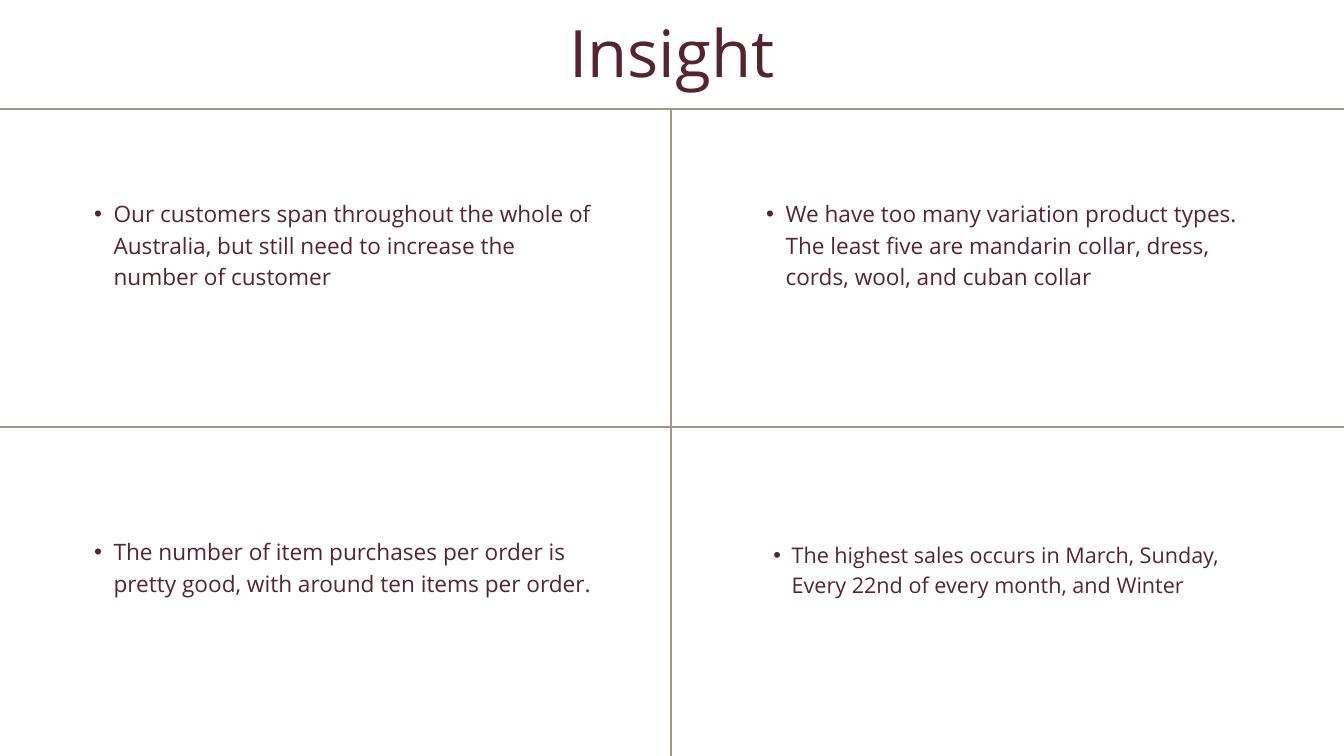
"""Build the Insight slide: a title above four findings in a ruled grid."""
from lxml import etree
from pptx import Presentation
from pptx.dml.color import RGBColor
from pptx.enum.shapes import MSO_CONNECTOR
from pptx.enum.text import MSO_ANCHOR, MSO_AUTO_SIZE, PP_ALIGN
from pptx.oxml.ns import qn
from pptx.util import Inches, Pt

STRAIGHT = MSO_CONNECTOR.STRAIGHT
TOP = MSO_ANCHOR.TOP
NO_FIT = MSO_AUTO_SIZE.NONE
CENTER = PP_ALIGN.CENTER
WINE, TAUPE = "56242F", "A29788"
WIDTH, HEIGHT = 20, 11.25


def color(code):
    return RGBColor.from_string(code)


def format_text(frame, size, spacing):
    frame.word_wrap = True
    frame.auto_size = NO_FIT
    frame.vertical_anchor = TOP
    frame.margin_left = frame.margin_right = 0
    frame.margin_top = frame.margin_bottom = 0
    paragraph = frame.paragraphs[0]
    paragraph.line_spacing = Pt(spacing)
    paragraph.space_before = Pt(0)
    paragraph.font.size = Pt(size)
    paragraph.font.name = "Open Sans"
    paragraph.font.color.rgb = color(WINE)
    return paragraph


deck = Presentation()
deck.slide_width, deck.slide_height = Inches(WIDTH), Inches(HEIGHT)
slide = deck.slides.add_slide(deck.slide_layouts[5])

title = slide.shapes.title
title.left, title.top = Inches(1.49), Inches(-0.01)
title.width, title.height = Inches(17.02), Inches(1.31)
title.text_frame.text = "Insight"
format_text(title.text_frame, 70, 98).alignment = CENTER

grid_lines = [
    (0, 1.62, WIDTH, 1.62),
    (0, 6.35, WIDTH, 6.35),
    (9.98, 1.64, 9.98, HEIGHT),
]
for ends in grid_lines:
    rule = slide.shapes.add_connector(STRAIGHT, *map(Inches, ends))
    rule.line.color.rgb = color(TAUPE)
    rule.line.width = Pt(2.25)
    etree.SubElement(rule._element.spPr, qn("a:effectLst"))

findings = [
    (1.12, 2.91, 7.72, 1.38, 24.2, 33.8, 0.57, 0.29,
     "Our customers span throughout the whole of Australia, "
     "but still need to increase the number of customer"),
    (11.12, 2.91, 7.72, 1.38, 24.2, 33.8, 0.57, 0.29,
     "We have too many variation product types. The least five are "
     "mandarin collar, dress, cords, wool, and cuban collar"),
    (1.12, 7.94, 7.72, 0.91, 24.2, 33.8, 0.57, 0.29,
     "The number of item purchases per order is pretty good, "
     "with around ten items per order."),
    (11.23, 8, 7.28, 0.88, 23.1, 32.4, 0.55, 0.27,
     "The highest sales occurs in March, Sunday, "
     "Every 22nd of every month, and Winter"),
]
for left, top, width, height, size, spacing, margin, hanging, wording in findings:
    finding = slide.shapes.add_textbox(*map(Inches, (left, top, width, height)))
    frame = finding.text_frame
    frame.text = wording
    properties = frame.paragraphs[0]._p.get_or_add_pPr()
    properties.set("marL", str(Inches(margin)))
    properties.set("indent", str(-Inches(hanging)))
    etree.SubElement(properties, qn("a:buFont"), typeface="Arial")
    etree.SubElement(properties, qn("a:buChar"), char="•")
    format_text(frame, size, spacing)

deck.save("out.pptx")
